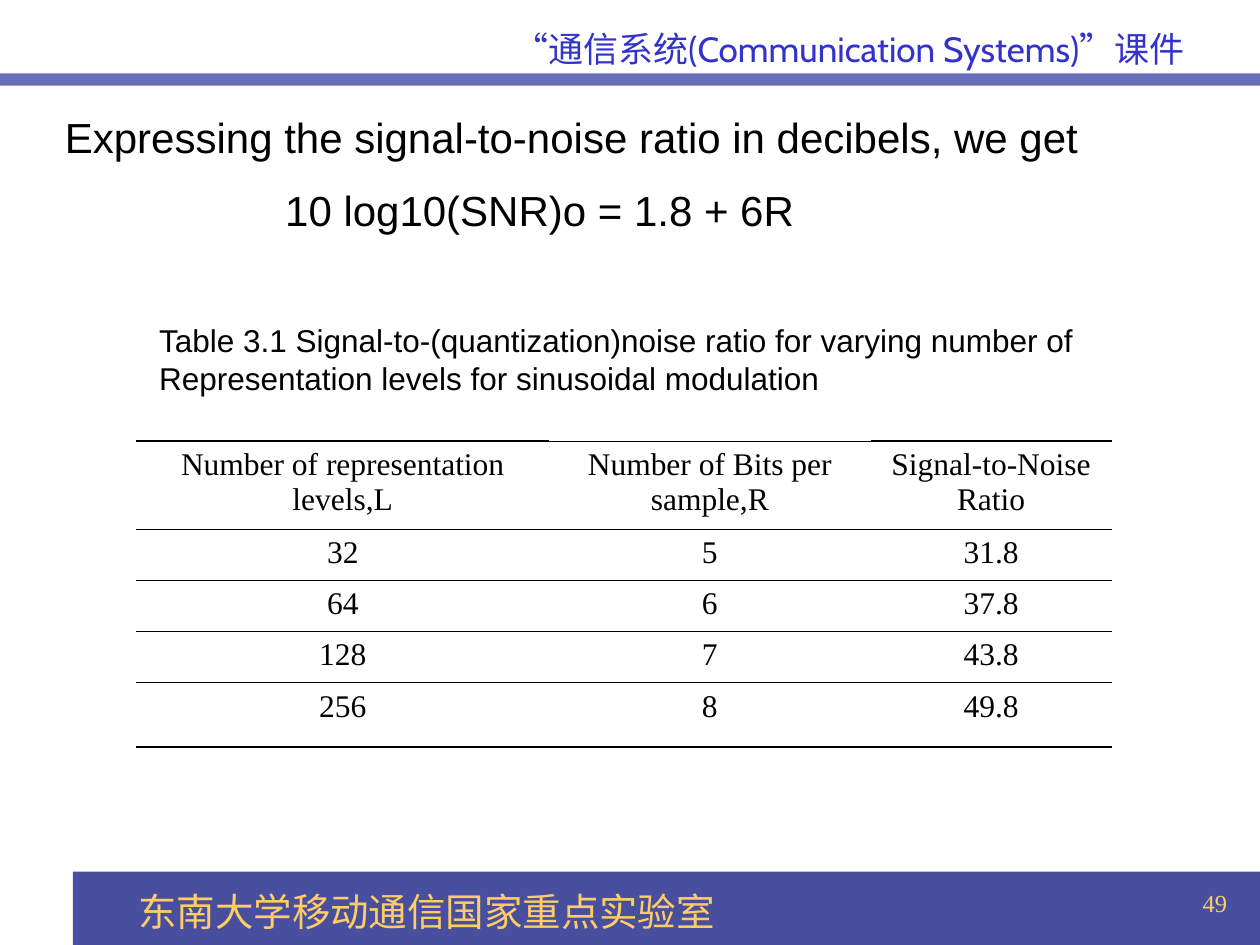
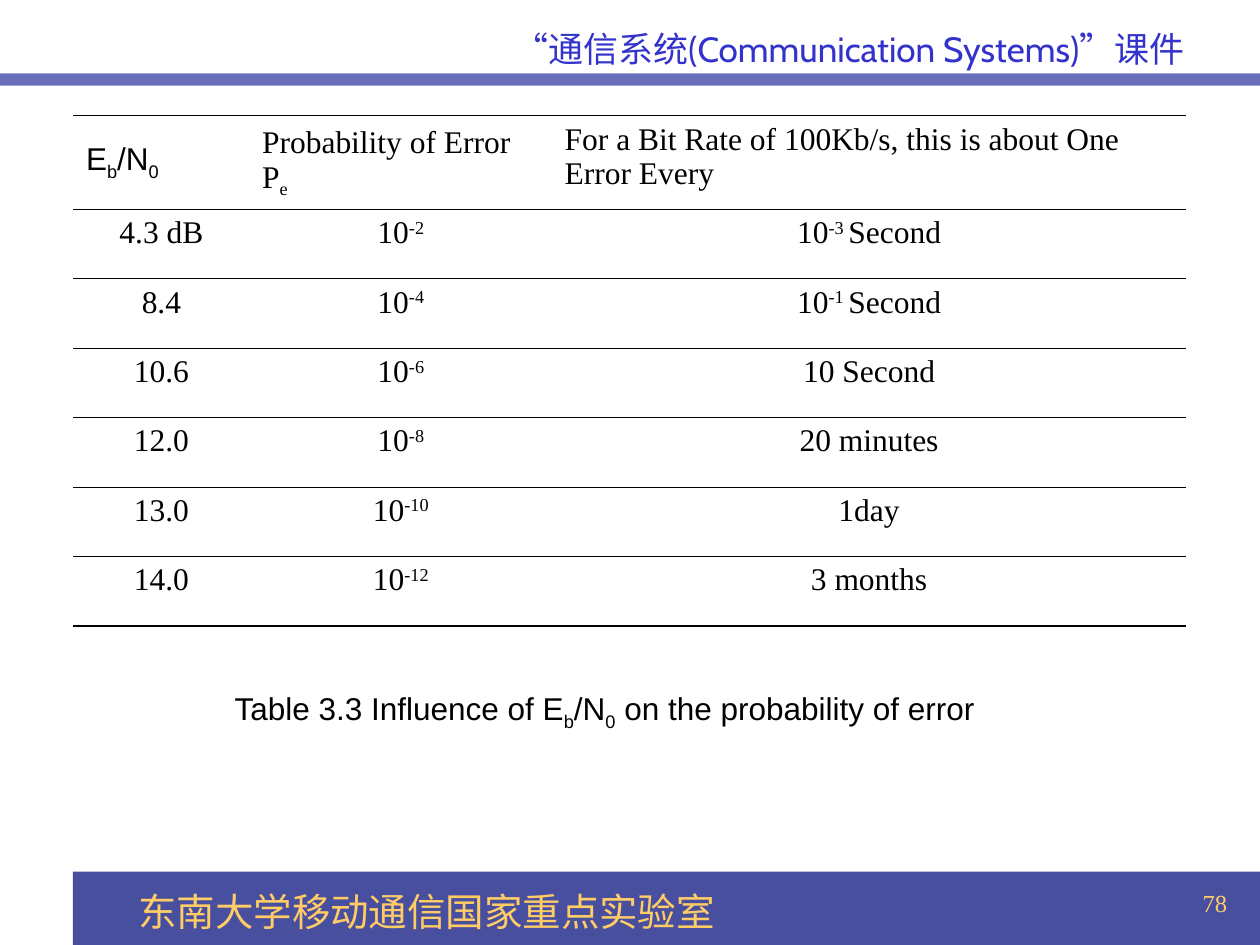
from lxml.etree import SubElement
from pptx import Presentation
from pptx.dml.color import RGBColor
from pptx.enum.shapes import MSO_SHAPE
from pptx.enum.text import MSO_ANCHOR, PP_ALIGN
from pptx.oxml.ns import qn
from pptx.util import Cm, Pt

INDIGO, PERIWINKLE, GOLD, BLUE, BLACK = "494F9F", "686EBA", "FFCC66", "3333CC", "000000"
SANS, SERIF, BRAND = "Arial", "Times New Roman", "Cabin"
LEFT, CENTER, RIGHT = PP_ALIGN.LEFT, PP_ALIGN.CENTER, PP_ALIGN.RIGHT
SUB, SUP = -25000, 30000
THIN, THICK = 0.45, 1.08


def rgb(value):
    return RGBColor.from_string(value)


class Deck:
    def __init__(self):
        self.prs = Presentation()
        self.prs.slide_width, self.prs.slide_height = Cm(25.4), Cm(19.05)

    def slide(self, number):
        self.s = self.prs.slides.add_slide(self.prs.slide_layouts[6])
        self.band(1.47, 17.57, 23.93, 1.48, INDIGO)
        self.band(0, 1.48, 25.4, 0.25, PERIWINKLE)
        self.text(2.54, 17.78, 12.7, 1.19, ["东南大学移动通信国家重点实验室"],
                  22, BRAND, GOLD, wrap=True)
        self.text(8.89, 0.43, 15.24, 1.12, ["“通信系统(Communication Systems)”课件"],
                  20, BRAND, BLUE, RIGHT, wrap=True)
        self.text(22.02, 17.78, 2.97, 1.27, [number], 14, SERIF, GOLD, RIGHT, wrap=True)

    def band(self, x, y, w, h, color):
        sp = self.s.shapes.add_shape(MSO_SHAPE.RECTANGLE, Cm(x), Cm(y), Cm(w), Cm(h))
        sp.shadow.inherit = False
        sp.fill.solid()
        sp.fill.fore_color.rgb = rgb(color)
        sp.line.fill.background()

    def paragraph(self, p, content, size, font, color=BLACK, align=LEFT):
        p.alignment = align
        p.font.size, p.font.name = Pt(size), font
        p.font.color.rgb = rgb(color)
        for part in [content] if isinstance(content, str) else content:
            text, baseline = (part, 0) if isinstance(part, str) else part
            r = p.add_run()
            r.text = text
            if baseline:
                r.font._element.set("baseline", str(baseline))

    def text(self, x, y, w, h, lines, size, font=SANS, color=BLACK, align=LEFT, wrap=False):
        tf = self.s.shapes.add_textbox(Cm(x), Cm(y), Cm(w), Cm(h)).text_frame
        tf.word_wrap = wrap
        for i, line in enumerate(lines):
            p = tf.add_paragraph() if i else tf.paragraphs[0]
            self.paragraph(p, line, size, font, color, align)

    def border(self, cell, side, width=None):
        tcPr = cell._tc.get_or_add_tcPr()
        ln = SubElement(tcPr, qn(f"a:ln{side}"))
        if width is None:
            SubElement(ln, qn("a:noFill"))
            return
        ln.set("w", str(Pt(width)))
        fill = SubElement(ln, qn("a:solidFill"))
        SubElement(fill, qn("a:srgbClr"), val=BLACK)

    def table(self, x, y, widths, heights, rows, tops, header_align=CENTER,
              header_fonts=(SERIF,) * 3, header_anchors=(MSO_ANCHOR.TOP,) * 3):
        table = self.s.shapes.add_table(len(rows), len(widths), Cm(x), Cm(y),
                                        Cm(sum(widths)), Cm(sum(heights))).table
        table.first_row = table.horz_banding = False
        for column, width in zip(table.columns, widths):
            column.width = Cm(width)
        for row, height in zip(table.rows, heights):
            row.height = Cm(height)
        for i, row in enumerate(rows):
            for j, content in enumerate(row):
                cell = table.cell(i, j)
                self.border(cell, "L")
                self.border(cell, "R")
                self.border(cell, "T", THIN if i else tops[j])
                self.border(cell, "B", THICK if i == len(rows) - 1 else THIN)
                cell.fill.background()
                if i == 0:
                    cell.vertical_anchor = header_anchors[j]
                self.paragraph(cell.text_frame.paragraphs[0], content, 18,
                               SERIF if i else header_fonts[j],
                               align=CENTER if i else header_align)


def quantization_noise(deck):
    deck.slide("49")
    deck.text(1.06, 2.12, 20.93, 1.27,
              ["Expressing the signal-to-noise ratio in decibels, we get"], 24)
    deck.text(5.5, 3.6, 10.77, 1.27, ["10 log10(SNR)o = 1.8 + 6R"], 24)
    header = ("Number of representation levels,L", "Number of Bits per sample,R",
              "Signal-to-Noise Ratio")
    levels = [(str(2 ** bits), str(bits), f"{1.8 + 6 * bits:.1f}") for bits in range(5, 9)]
    deck.table(2.75, 8.89, (8.32, 6.48, 4.86), (1.78, 1.03, 1.03, 1.03, 1.3),
               [header] + levels, (THICK, THIN, THICK))
    deck.text(2.96, 6.35, 19, 1.78,
              ["Table 3.1 Signal-to-(quantization)noise ratio for varying number of",
               "Representation levels for sinusoidal modulation"], 18)


def error_probability(deck):
    deck.slide("78")
    energy_ratio = ("E", ("b", SUB), "/N", ("0", SUB))
    header = (energy_ratio, ("Probability of Error P", ("e", SUB)),
              "For a Bit Rate of 100Kb/s, this is about One Error Every")
    ratios = ("4.3 dB", "8.4", "10.6", "12.0", "13.0", "14.0")
    intervals = (("10", ("-3 ", SUP), "Second"), ("10", ("-1 ", SUP), "Second"),
                 "10 Second", "20 minutes", "1day", "3 months")
    rows = [(ratio, ("10", (str(-2 * i), SUP)), interval)
            for i, (ratio, interval) in enumerate(zip(ratios, intervals), 1)]
    deck.table(1.48, 2.33, (3.55, 6.1, 12.78), [1.89] + [1.4] * 6, [header] + rows,
               (THICK,) * 3, LEFT, (SANS, SERIF, SERIF),
               (MSO_ANCHOR.MIDDLE, MSO_ANCHOR.MIDDLE, MSO_ANCHOR.TOP))
    deck.text(4.48, 13.76, 15.5, 1.12,
              [("Table 3.3 Influence of ", *energy_ratio, " on the probability of error")], 18)


def main():
    deck = Deck()
    quantization_noise(deck)
    error_probability(deck)
    deck.prs.save("out.pptx")


if __name__ == "__main__":
    main()
